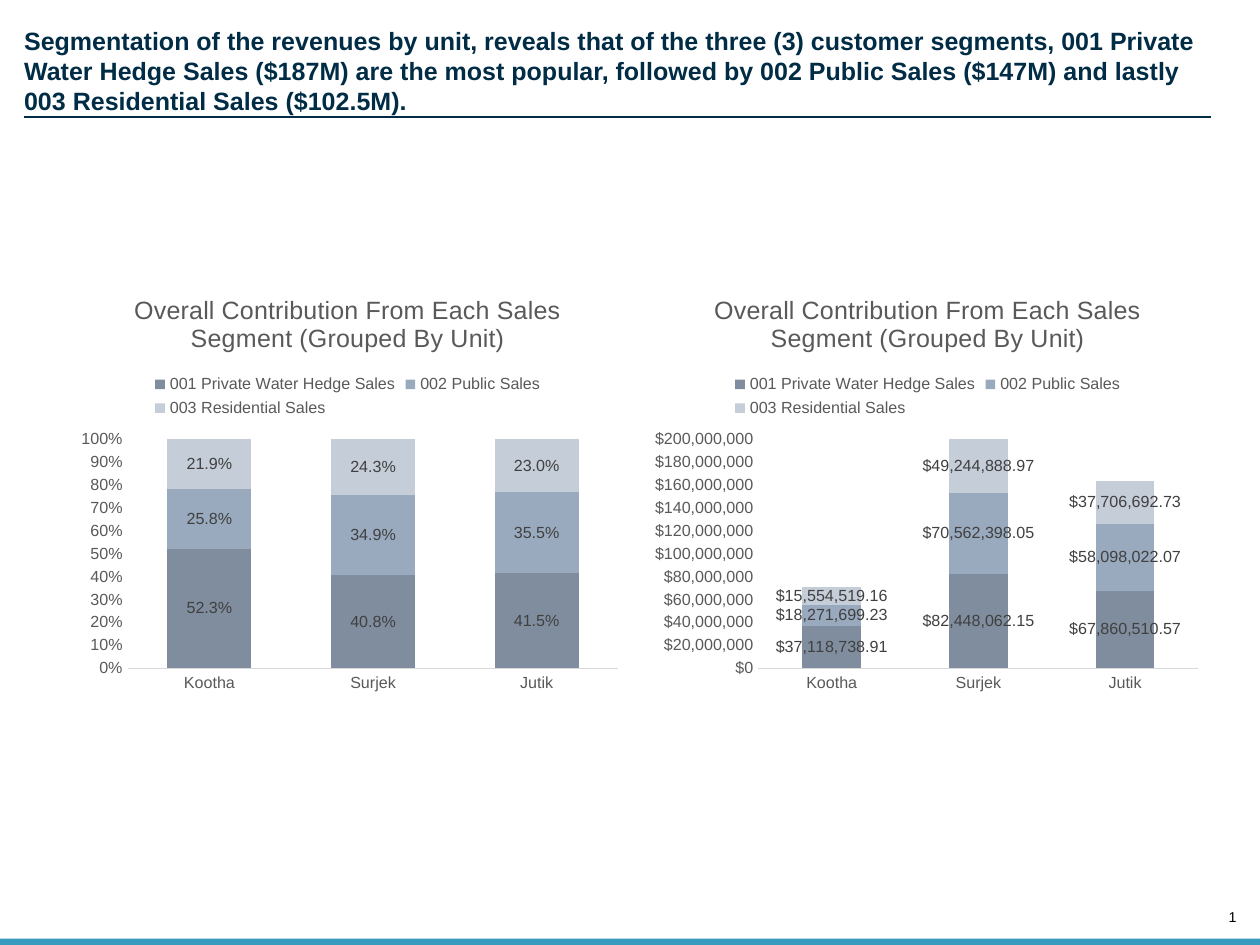
import pptx
import pptx.chart.data
import pptx.dml.color
import pptx.enum.chart
import pptx.enum.shapes
import pptx.enum.text
import pptx.oxml
import pptx.oxml.ns
import pptx.util

Pt = pptx.util.Pt
RGBColor = pptx.dml.color.RGBColor
ChartType = pptx.enum.chart.XL_CHART_TYPE
TickMark = pptx.enum.chart.XL_TICK_MARK
Align = pptx.enum.text.PP_ALIGN
Anchor = pptx.enum.text.MSO_ANCHOR

NAVY = RGBColor(0x00, 0x2C, 0x46)
TEAL = RGBColor(0x37, 0x9B, 0xBD)
BLACK = RGBColor(0x00, 0x00, 0x00)
CHART_TEXT = RGBColor(0x59, 0x59, 0x59)
LABEL_TEXT = RGBColor(0x40, 0x40, 0x40)
AXIS_GREY = RGBColor(0xD9, 0xD9, 0xD9)
SEGMENT_COLORS = [RGBColor(0x7F, 0x8D, 0x9E), RGBColor(0x99, 0xAA, 0xBE),
                  RGBColor(0xC5, 0xCD, 0xD8)]

FONT = "Arial"
SLIDE_WIDTH, SLIDE_HEIGHT = 705.6, 529.2
HEADLINE = ("Segmentation of the revenues by unit, reveals that of the three (3) "
            "customer segments, 001 Private Water Hedge Sales ($187M) are the most "
            "popular, followed by 002 Public Sales ($147M) and lastly\v"
            "003 Residential Sales ($102.5M).")
CHART_TITLE = "Overall Contribution From Each Sales Segment (Grouped By Unit)"
UNITS = ["Kootha", "Surjek", "Jutik"]
SEGMENTS = ["001 Private Water Hedge Sales", "002 Public Sales", "003 Residential Sales"]
SHARES = [[0.523, 0.408, 0.415], [0.258, 0.349, 0.355], [0.219, 0.243, 0.23]]
REVENUES = [[37118738.91, 82448062.15, 67860510.57],
            [18271699.23, 70562398.05, 58098022.07],
            [15554519.16, 49244888.97, 37706692.73]]


def style_font(font, size, color, bold=False):
    font.name = FONT
    font.size = Pt(size)
    font.bold = bold
    font.color.rgb = color


def add_text(slide, text, left, top, width, height, size, color,
             bold=False, align=Align.LEFT, anchor=Anchor.TOP, wrap=True):
    shape = slide.shapes.add_textbox(Pt(left), Pt(top), Pt(width), Pt(height))
    frame = shape.text_frame
    frame.margin_left = frame.margin_right = frame.margin_top = frame.margin_bottom = 0
    frame.word_wrap = wrap
    frame.vertical_anchor = anchor
    frame.text = text
    paragraph = frame.paragraphs[0]
    paragraph.alignment = align
    for run in paragraph.runs:
        style_font(run.font, size, color, bold)


def add_rule(slide, left, right, top):
    connector = slide.shapes.add_connector(
        pptx.enum.shapes.MSO_CONNECTOR.STRAIGHT, Pt(left), Pt(top), Pt(right), Pt(top))
    connector.line.color.rgb = NAVY
    connector.line.width = Pt(0.75)
    connector._element.spPr.append(pptx.oxml.parse_xml(
        f"<a:effectLst {pptx.oxml.ns.nsdecls('a')}/>"))


def add_footer_bar(slide, height):
    shape = slide.shapes.add_shape(
        pptx.enum.shapes.MSO_SHAPE.RECTANGLE,
        Pt(0), Pt(SLIDE_HEIGHT - height), Pt(SLIDE_WIDTH), Pt(height))
    shape.shadow.inherit = False
    shape.fill.solid()
    shape.fill.fore_color.rgb = TEAL
    shape.line.fill.background()


def place_plot(chart, left, width):
    """Fix the inner plot area; left and width are fractions of the chart width."""
    plot_area = chart._chartSpace.chart.plotArea
    for layout in plot_area.findall(pptx.oxml.ns.qn("c:layout")):
        plot_area.remove(layout)
    places = {"x": left, "y": 0.39, "w": width, "h": 0.54}
    values = "".join(f'<c:{name} val="{value}"/>' for name, value in places.items())
    plot_area.insert(0, pptx.oxml.parse_xml(
        f"<c:layout {pptx.oxml.ns.nsdecls('c')}><c:manualLayout>"
        '<c:layoutTarget val="inner"/><c:xMode val="edge"/><c:yMode val="edge"/>'
        f"{values}</c:manualLayout></c:layout>"))


def style_axes(chart, axis_format, maximum, step):
    category_axis, value_axis = chart.category_axis, chart.value_axis
    for axis in (category_axis, value_axis):
        axis.has_major_gridlines = False
        axis.major_tick_mark = axis.minor_tick_mark = TickMark.NONE
        style_font(axis.tick_labels.font, 9, CHART_TEXT)
    category_axis.format.line.color.rgb = AXIS_GREY
    category_axis.format.line.width = Pt(0.75)
    value_axis.format.line.fill.background()
    value_axis.minimum_scale = 0
    value_axis.maximum_scale = maximum
    value_axis.major_unit = step
    value_axis.tick_labels.number_format = axis_format
    value_axis.tick_labels.number_format_is_linked = False


def style_series(series, color, label_format):
    series.format.fill.solid()
    series.format.fill.fore_color.rgb = color
    labels = series.data_labels
    labels.show_value = True
    labels.position = pptx.enum.chart.XL_LABEL_POSITION.CENTER
    labels.number_format = label_format
    labels.number_format_is_linked = False
    style_font(labels.font, 9, LABEL_TEXT)


def add_segment_chart(slide, chart_type, values, left, gap_width, label_format,
                      axis_format, maximum, step, plot_left, plot_width):
    data = pptx.chart.data.CategoryChartData()
    data.categories = UNITS
    for segment, segment_values in zip(SEGMENTS, values):
        data.add_series(segment, segment_values)
    chart = slide.shapes.add_chart(
        chart_type, Pt(left), Pt(153.4), Pt(316), Pt(237.6), data).chart
    style_font(chart.font, 10, BLACK)

    chart.has_title = True
    chart.chart_title.include_in_layout = False
    chart.chart_title.text_frame.text = CHART_TITLE
    style_font(chart.chart_title.text_frame.paragraphs[0].runs[0].font, 14, CHART_TEXT)

    chart.has_legend = True
    chart.legend.position = pptx.enum.chart.XL_LEGEND_POSITION.TOP
    chart.legend.include_in_layout = False
    style_font(chart.legend.font, 9, CHART_TEXT)

    plot = chart.plots[0]
    plot.gap_width = gap_width
    plot.overlap = 100
    plot.vary_by_categories = False
    for series, color in zip(plot.series, SEGMENT_COLORS):
        style_series(series, color, label_format)
    style_axes(chart, axis_format, maximum, step)
    place_plot(chart, plot_left, plot_width)


def main():
    presentation = pptx.Presentation()
    presentation.slide_width = Pt(SLIDE_WIDTH)
    presentation.slide_height = Pt(SLIDE_HEIGHT)
    slide = presentation.slides.add_slide(presentation.slide_layouts[6])

    add_text(slide, "1", 682.5, 509, 10, 9.4, 8, BLACK,
             align=Align.RIGHT, anchor=Anchor.BOTTOM, wrap=False)
    add_footer_bar(slide, 3.6)
    add_text(slide, HEADLINE, 13.5, 14.4, 688, 51, 14, NAVY, bold=True)
    add_rule(slide, 13.5, 678.2, 65.5)
    add_segment_chart(slide, ChartType.COLUMN_STACKED, REVENUES, 361.5, 150,
                      '"$"#,##0.00;[Red]\\-"$"#,##0.00', '"$"#,##0',
                      200000000, 20000000, 0.2, 0.78)
    add_segment_chart(slide, ChartType.COLUMN_STACKED_100, SHARES, 36.7, 95,
                      "0.0%", "0%", 1, 0.1, 0.11, 0.87)
    presentation.save("out.pptx")


if __name__ == "__main__":
    main()
